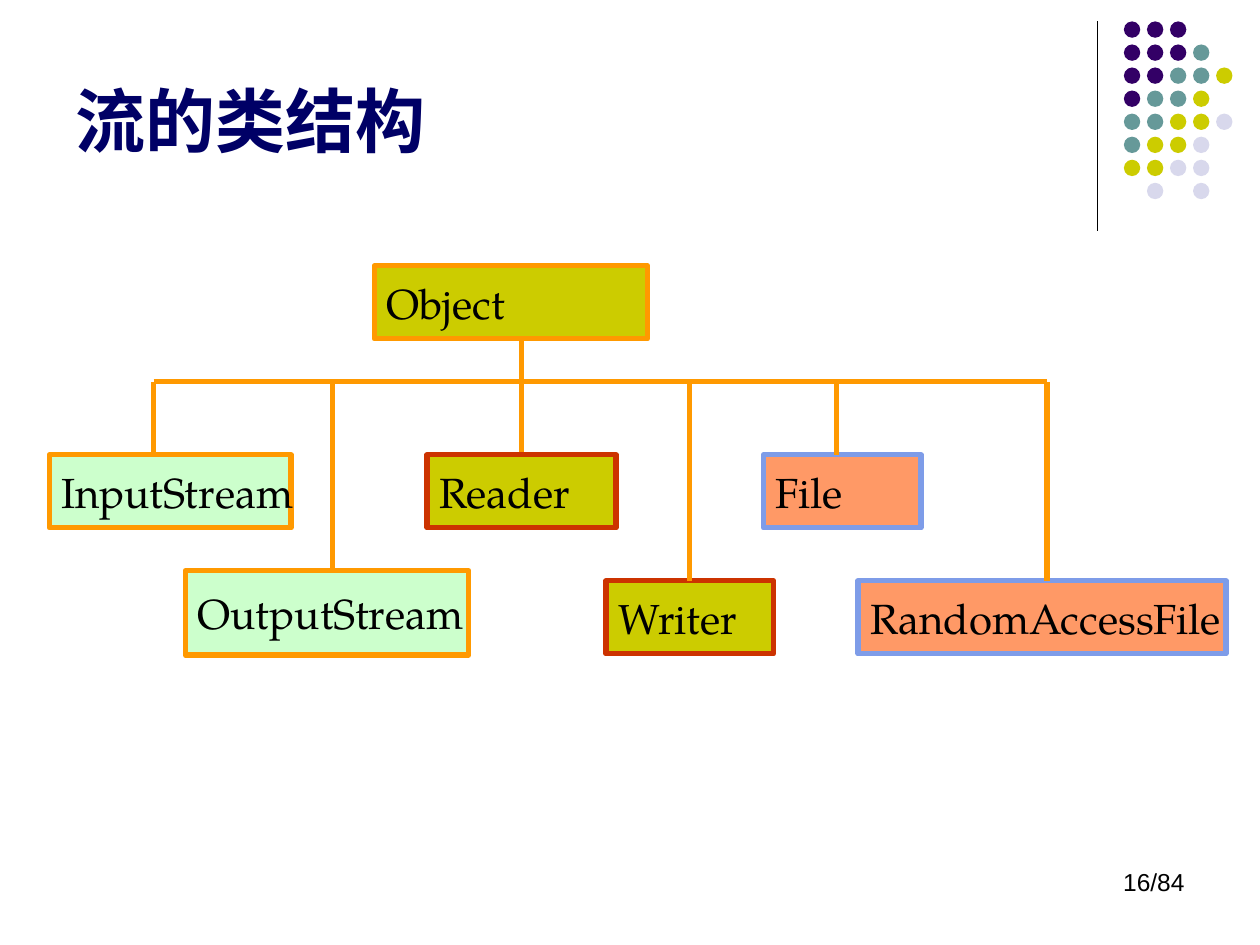
from dataclasses import dataclass

from pptx import Presentation
from pptx.dml.color import RGBColor
from pptx.enum.shapes import MSO_CONNECTOR, MSO_SHAPE
from pptx.enum.text import MSO_ANCHOR, PP_ALIGN
from pptx.oxml import parse_xml
from pptx.oxml.ns import nsdecls
from pptx.slide import Slide
from pptx.text.text import TextFrame
from pptx.util import Inches, Pt

RECTANGLE, OVAL = MSO_SHAPE.RECTANGLE, MSO_SHAPE.OVAL
STRAIGHT = MSO_CONNECTOR.STRAIGHT
TOP, MIDDLE, BOTTOM = MSO_ANCHOR.TOP, MSO_ANCHOR.MIDDLE, MSO_ANCHOR.BOTTOM
LEFT, RIGHT = PP_ALIGN.LEFT, PP_ALIGN.RIGHT

BLACK, NAVY, ORANGE = "000000", "000066", "FF9900"
OLIVE, MINT, SALMON = "CCCC00", "CCFFCC", "FF9966"
RED, BLUE = "CC3300", "7E9CE8"
SANS, SERIF = "Arial", "TeX Gyre Pagella"

DOT_COLORS = {"P": "330066", "T": "669999", "Y": OLIVE, "L": "D8D8EC"}
DOT_ROWS = ("PPP", "PPPT", "PPTTY", "PTTY", "TTYYL", "TYYL", "YYLL", " L L")
DOT_LEFT, DOT_TOP, DOT_PITCH, DOT_SIZE = 8.92, 0.17, 0.183, 0.13

BUS_Y = 3.03
ROOT_X = 4.14


@dataclass(frozen=True)
class ClassBox:
    name: str
    left: float
    top: float
    width: float
    height: float
    fill: str
    border: str


@dataclass(frozen=True)
class Branch:
    x: float
    bottom: float


ROOT = ClassBox("Object", 2.97, 2.11, 2.17, 0.58, OLIVE, ORANGE)
CHILDREN = (
    ClassBox("InputStream", 0.39, 3.61, 1.92, 0.58, MINT, ORANGE),
    ClassBox("OutputStream", 1.47, 4.53, 2.25, 0.67, MINT, ORANGE),
    ClassBox("Reader", 3.39, 3.61, 1.5, 0.58, OLIVE, RED),
    ClassBox("Writer", 4.81, 4.61, 1.33, 0.58, OLIVE, RED),
    ClassBox("File", 6.06, 3.61, 1.25, 0.58, SALMON, BLUE),
    ClassBox("RandomAccessFile", 6.81, 4.61, 2.92, 0.58, SALMON, BLUE),
)
BRANCHES = (
    Branch(1.22, 3.61),
    Branch(2.64, 4.53),
    Branch(5.47, 4.61),
    Branch(6.64, 3.61),
    Branch(8.31, 4.61),
)


def color(value: str) -> RGBColor:
    """Turn a hex string into a colour."""
    return RGBColor.from_string(value)


def write_text(frame: TextFrame, text: str, size: float, font: str, ink: str,
               align: PP_ALIGN, anchor: MSO_ANCHOR, bold: bool = False) -> None:
    """Put one styled paragraph into a text frame."""
    frame.vertical_anchor = anchor
    para = frame.paragraphs[0]
    para.text = text
    para.alignment = align
    para.font.size = Pt(size)
    para.font.name = font
    para.font.bold = bold
    para.font.color.rgb = color(ink)


def add_label(page: Slide, left: float, top: float, width: float, height: float) -> TextFrame:
    """Add a wrapping text box and return its frame."""
    box = page.shapes.add_textbox(Inches(left), Inches(top), Inches(width), Inches(height))
    box.text_frame.word_wrap = True
    return box.text_frame


def add_line(page: Slide, x1: float, y1: float, x2: float, y2: float,
             ink: str = ORANGE, weight: float = 3) -> None:
    """Draw a straight line without a shadow."""
    line = page.shapes.add_connector(STRAIGHT, Inches(x1), Inches(y1), Inches(x2), Inches(y2))
    line.line.color.rgb = color(ink)
    line.line.width = Pt(weight)
    line._element.spPr.append(parse_xml(f"<a:effectLst {nsdecls('a')}/>"))


def add_class_box(page: Slide, item: ClassBox) -> None:
    """Draw one class of the hierarchy."""
    box = page.shapes.add_shape(RECTANGLE, Inches(item.left), Inches(item.top),
                                Inches(item.width), Inches(item.height))
    box.shadow.inherit = False
    box.fill.solid()
    box.fill.fore_color.rgb = color(item.fill)
    box.line.color.rgb = color(item.border)
    box.line.width = Pt(3)
    box.text_frame.word_wrap = False
    write_text(box.text_frame, item.name, 24, SERIF, BLACK, LEFT, MIDDLE)


def add_dots(page: Slide) -> None:
    """Draw the corner grid of coloured dots."""
    for row, codes in enumerate(DOT_ROWS):
        for column, code in enumerate(codes):
            if code not in DOT_COLORS:
                continue
            dot = page.shapes.add_shape(OVAL, Inches(DOT_LEFT + column * DOT_PITCH),
                                        Inches(DOT_TOP + row * DOT_PITCH),
                                        Inches(DOT_SIZE), Inches(DOT_SIZE))
            dot.shadow.inherit = False
            dot.fill.solid()
            dot.fill.fore_color.rgb = color(DOT_COLORS[code])
            dot.line.fill.background()


def add_hierarchy(page: Slide) -> None:
    """Draw the class tree with its connecting lines."""
    add_class_box(page, ROOT)
    add_line(page, ROOT_X, ROOT.top + ROOT.height, ROOT_X, 3.61)
    add_line(page, BRANCHES[0].x, BUS_Y, BRANCHES[-1].x, BUS_Y)
    for child in CHILDREN:
        add_class_box(page, child)
    for branch in BRANCHES:
        add_line(page, branch.x, BUS_Y, branch.x, branch.bottom)


def main() -> None:
    """Build the slide and save it."""
    deck = Presentation()
    deck.slide_width, deck.slide_height = Inches(10), Inches(7.5)
    page = deck.slides.add_slide(deck.slide_layouts[6])
    add_line(page, 8.71, 0.17, 8.71, 1.83, BLACK, 0.75)
    add_dots(page)
    write_text(add_label(page, 7.17, 6.83, 2.33, 0.5), "16/84", 14, SANS, BLACK, RIGHT, TOP)
    write_text(add_label(page, 0.5, 0.3, 9, 1.03), "流的类结构", 40, SANS, NAVY, LEFT, BOTTOM, True)
    add_hierarchy(page)
    deck.save("out.pptx")


if __name__ == "__main__":
    main()
